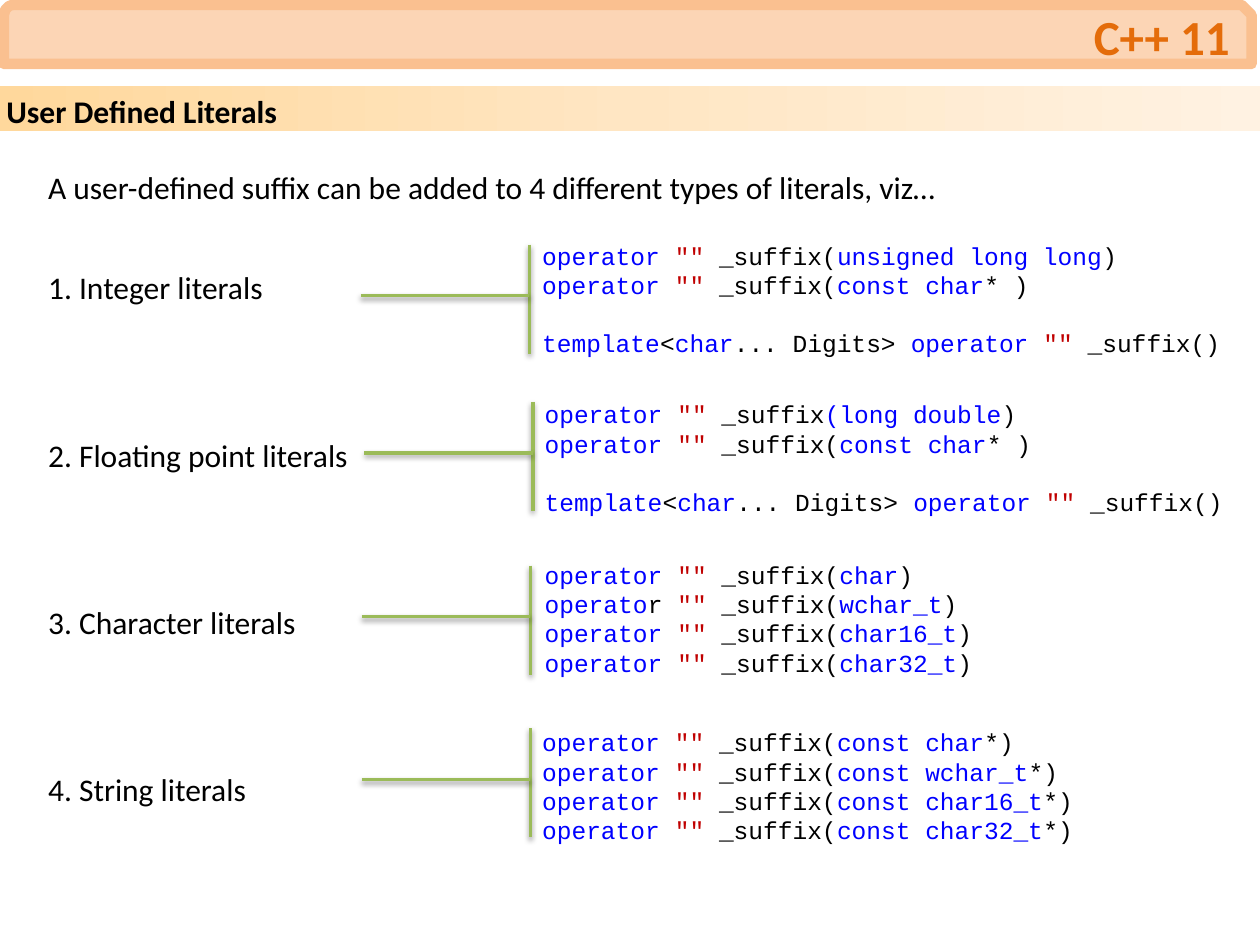
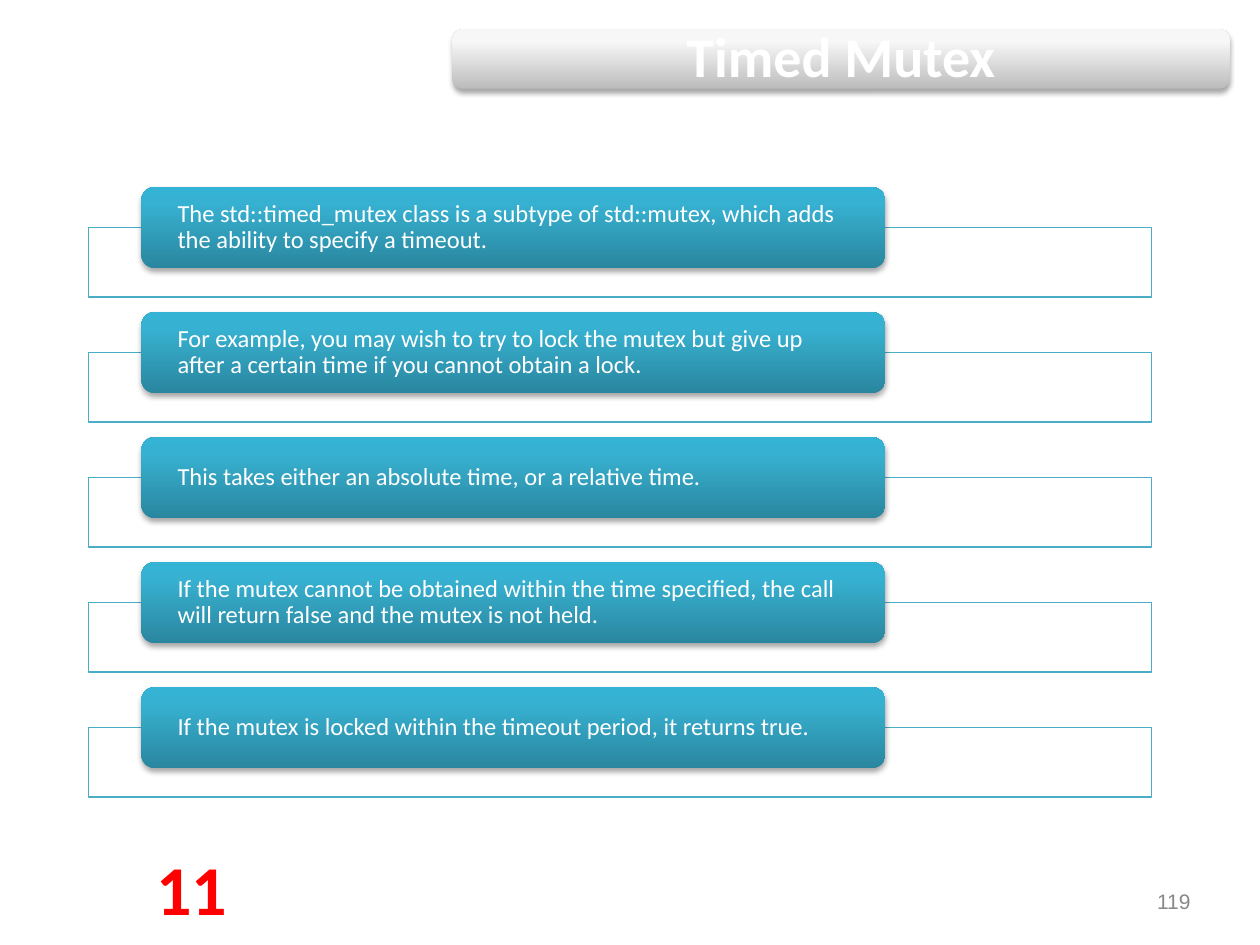
from lxml import etree
from pptx import Presentation
from pptx import util as u
from pptx.dml.color import RGBColor
from pptx.enum import shapes, text
from pptx.oxml.ns import qn

COLOURS = {
    "plain": "000000",
    "keyword": "0000FF",
    "quote": "C00000",
    "white": "FFFFFF",
    "banner": "FCD5B5",
    "banner_edge": "FAC090",
    "banner_text": "E46C0A",
    "bracket": "9BBB59",
    "frame": "4BACC6",
    "counter": "FF0000",
    "page": "888888",
}
BAND_STOPS = [(0, "FFD89C"), (50, "FFE6C3"), (100, "FFF2E2")]
CARD_STOPS = [(0, "2A869F"), (80, "37B1D1"), (100, "34B3D5")]
HEADING_STOPS = [(0, "BCBCBC"), (80, "F7F7F7"), (100, "F8F8F8")]
BODY_FONT, CODE_FONT, PAGE_FONT = "Calibri", "Courier New", "Arial"
LEFT, CENTRE, RIGHT = text.PP_ALIGN.LEFT, text.PP_ALIGN.CENTER, text.PP_ALIGN.RIGHT
TOP, MIDDLE = text.MSO_ANCHOR.TOP, text.MSO_ANCHOR.MIDDLE
INSET = 0.13

INTRO = "A user-defined suffix can be added to 4 different types of literals, viz…"
LITERAL_KINDS = ["1. Integer literals", "2. Floating point literals",
                 "3. Character literals", "4. String literals"]
MUTEX_NOTES = [
    "The std::timed_mutex class is a subtype of std::mutex, which adds the ability "
    "to specify a timeout.",
    "For example, you may wish to try to lock the mutex but give up after a certain "
    "time if you cannot obtain a lock.",
    "This takes either an absolute time, or a relative time.",
    "If the mutex cannot be obtained within the time specified, the call will return "
    "false and the mutex is not held.",
    "If the mutex is locked within the timeout period, it returns true.",
]


def rgb(name):
    """Return the named colour."""
    return RGBColor.from_string(COLOURS[name])


def place(left, top, width, height):
    """Turn centimetres into lengths."""
    return [u.Cm(value) for value in (left, top, width, height)]


def add_run(paragraph, words, size, colour="plain", font=BODY_FONT, bold=False):
    """Add one formatted run."""
    run = paragraph.add_run()
    run.text = words
    run.font.name = font
    run.font.size = u.Pt(size)
    run.font.bold = bold
    run.font.color.rgb = rgb(colour)


def set_frame(shape, anchor=TOP, side=INSET, edge=INSET):
    """Prepare the text frame of a shape and return its first paragraph."""
    frame = shape.text_frame
    frame.word_wrap = True
    frame.vertical_anchor = anchor
    frame.margin_left = frame.margin_right = u.Cm(side)
    frame.margin_top = frame.margin_bottom = u.Cm(edge)
    return frame.paragraphs[0]


def add_label(slide, box, words, size, align=LEFT, anchor=TOP, **style):
    """Add a text box with one run."""
    label = slide.shapes.add_textbox(*place(*box))
    paragraph = set_frame(label, anchor)
    paragraph.alignment = align
    add_run(paragraph, words, size, **style)


def add_panel(slide, kind, box):
    """Add a preset shape with neither line nor shadow."""
    panel = slide.shapes.add_shape(kind, *place(*box))
    panel.shadow.inherit = False
    panel.line.fill.background()
    return panel


def set_gradient(shape, stops, angle):
    """Fill a shape with a linear gradient."""
    shape.fill.gradient()
    shape.fill.gradient_angle = angle
    stop_list = shape._element.spPr.find(qn("a:gradFill")).find(qn("a:gsLst"))
    for stop in list(stop_list):
        stop_list.remove(stop)
    for position, colour in stops:
        stop = etree.SubElement(stop_list, qn("a:gs"), pos=str(position * 1000))
        etree.SubElement(stop, qn("a:srgbClr"), val=colour)


def add_shadow(shape, opacity, distance):
    """Give a shape or connector a soft shadow below it."""
    properties = shape._element.spPr
    effects = properties.find(qn("a:effectLst"))
    if effects is None:
        effects = etree.SubElement(properties, qn("a:effectLst"))
    shadow = etree.SubElement(
        effects, qn("a:outerShdw"), blurRad=str(u.Pt(3)), dist=str(u.Pt(distance)),
        dir="5400000", rotWithShape="0")
    colour = etree.SubElement(shadow, qn("a:srgbClr"), val=COLOURS["plain"])
    etree.SubElement(colour, qn("a:alpha"), val=str(opacity * 1000))


def add_card(slide, box, stops, words, size, side, align=LEFT, bold=False):
    """Add a glossy rounded card with its text."""
    card = add_panel(slide, shapes.MSO_SHAPE.ROUNDED_RECTANGLE, box)
    set_gradient(card, stops, 90)
    add_shadow(card, 35, 1.8)
    paragraph = set_frame(card, MIDDLE, side, 0)
    paragraph.alignment = align
    paragraph.line_spacing = 0.9
    add_run(paragraph, words, size, "white", bold=bold)


def add_outline(slide, box):
    """Add a thin translucent frame."""
    outline = add_panel(slide, shapes.MSO_SHAPE.RECTANGLE, box)
    outline.fill.solid()
    outline.fill.fore_color.rgb = rgb("white")
    colour = outline._element.spPr.find(qn("a:solidFill"))[0]
    etree.SubElement(colour, qn("a:alpha"), val="90000")
    outline.line.color.rgb = rgb("frame")
    outline.line.width = u.Pt(0.75)


def add_banner(slide, topic, section):
    """Add the topic banner and the section band under it."""
    band = add_panel(slide, shapes.MSO_SHAPE.RECTANGLE, (0, 1.73, 25.4, 0.91))
    set_gradient(band, BAND_STOPS, 0)
    paragraph = set_frame(band)
    paragraph.alignment = LEFT
    add_run(paragraph, section, 18, bold=True)

    banner = add_panel(slide, shapes.MSO_SHAPE.SNIP_ROUND_RECTANGLE,
                       (0.08, 0.1, 25.15, 1.19))
    banner.fill.solid()
    banner.fill.fore_color.rgb = rgb("banner")
    banner.line.color.rgb = rgb("banner_edge")
    banner.line.width = u.Pt(6)
    add_label(slide, (0.38, 0.1, 24.54, 1.24), topic, 28, RIGHT, MIDDLE,
              colour="banner_text", bold=True)


def add_literal_kinds(slide):
    """Add the introduction and the numbered kinds of literal."""
    box = slide.shapes.add_textbox(*place(0.84, 3.25, 23.75, 13.87))
    add_run(set_frame(box), INTRO, 18)
    for index, kind in enumerate(LITERAL_KINDS):
        paragraph = box.text_frame.add_paragraph()
        paragraph.space_before = u.Pt(74 if index else 36)
        add_run(paragraph, kind, 18)


def add_line(slide, start, end):
    """Add one stroke of a bracket."""
    line = slide.shapes.add_connector(
        shapes.MSO_CONNECTOR.STRAIGHT, *place(*start, *end))
    line.line.color.rgb = rgb("bracket")
    line.line.width = u.Pt(2)
    add_shadow(line, 38, 1.6)


def add_bracket(slide, x, top):
    """Add an upright stroke and the arm that leads to it."""
    arm = top + 1.03
    add_line(slide, (x, top), (x, top + 2.2))
    add_line(slide, (x - 3.4, arm), (x, arm))


def signature(parameter, tail=")", opening=" _suffix(", stem="operator ", rest=""):
    """Return the coloured runs of one literal operator."""
    runs = [(stem, "keyword"), (rest, "plain"), ('""', "quote"),
            (opening, "plain"), (parameter, "keyword"), (tail, "plain")]
    return [run for run in runs if run[0]]


def add_code(slide, left, top, width, lines, template=False):
    """Add operator signatures, with the template form last if asked for."""
    box = slide.shapes.add_textbox(*place(left, top, width, 2.51))
    paragraph = set_frame(box)
    if template:
        lines = lines + [[("template", "keyword"), ("<", "plain"), ("char", "keyword"),
                          ("... Digits> ", "plain")] + signature("", "", " _suffix()")]
    for index, line in enumerate(lines):
        if index:
            paragraph = box.text_frame.add_paragraph()
        if template and index == len(lines) - 1:
            paragraph.space_before = u.Pt(16.5)
        for words, colour in line:
            add_run(paragraph, words, 14, colour, CODE_FONT)


def build_literals(slide):
    """Build the slide on user defined literals."""
    add_banner(slide, "C++ 11", "User Defined Literals")
    add_literal_kinds(slide)
    raw_form = signature("const char", "* )")
    characters = ["char", "wchar_t", "char16_t", "char32_t"]
    character_lines = [signature(name) for name in characters]
    character_lines[1] = signature("wchar_t", stem="operato", rest="r ")
    string_lines = [signature(f"const {name}", "*)") for name in characters]

    add_code(slide, 10.8, 4.72, 14.43,
             [signature("unsigned long long"), raw_form], template=True)
    add_code(slide, 10.85, 7.92, 14.53,
             [signature("(long double", opening=" _suffix"), raw_form], template=True)
    add_code(slide, 10.85, 11.15, 13.94, character_lines)
    add_code(slide, 10.8, 14.53, 12.45, string_lines)
    for x, top in [(10.67, 4.93), (10.74, 8.1), (10.69, 11.4), (10.69, 14.68)]:
        add_bracket(slide, x, top)


def build_mutex(slide):
    """Build the slide on the timed mutex."""
    for index, note in enumerate(MUTEX_NOTES):
        shift = index * 2.52
        add_outline(slide, (1.78, 4.59 + shift, 21.44, 1.4))
        add_card(slide, (2.85, 3.77 + shift, 15, 1.64), CARD_STOPS, note, 14, 0.65)
    add_card(slide, (9.12, 0.59, 15.67, 1.2), HEADING_STOPS, "Timed Mutex", 32,
             0.33, CENTRE, bold=True)
    add_label(slide, (23.19, 17.83, 0.94, 0.69), "119", 12, RIGHT, MIDDLE,
              colour="page", font=PAGE_FONT)
    add_label(slide, (3, 16.92, 1.73, 1.68), "11", 40, CENTRE,
              colour="counter", bold=True)


def main():
    """Build and save the presentation."""
    presentation = Presentation()
    presentation.slide_width = u.Cm(25.4)
    presentation.slide_height = u.Cm(19.05)
    for build in (build_literals, build_mutex):
        build(presentation.slides.add_slide(presentation.slide_layouts[6]))
    presentation.save("out.pptx")


if __name__ == "__main__":
    main()
